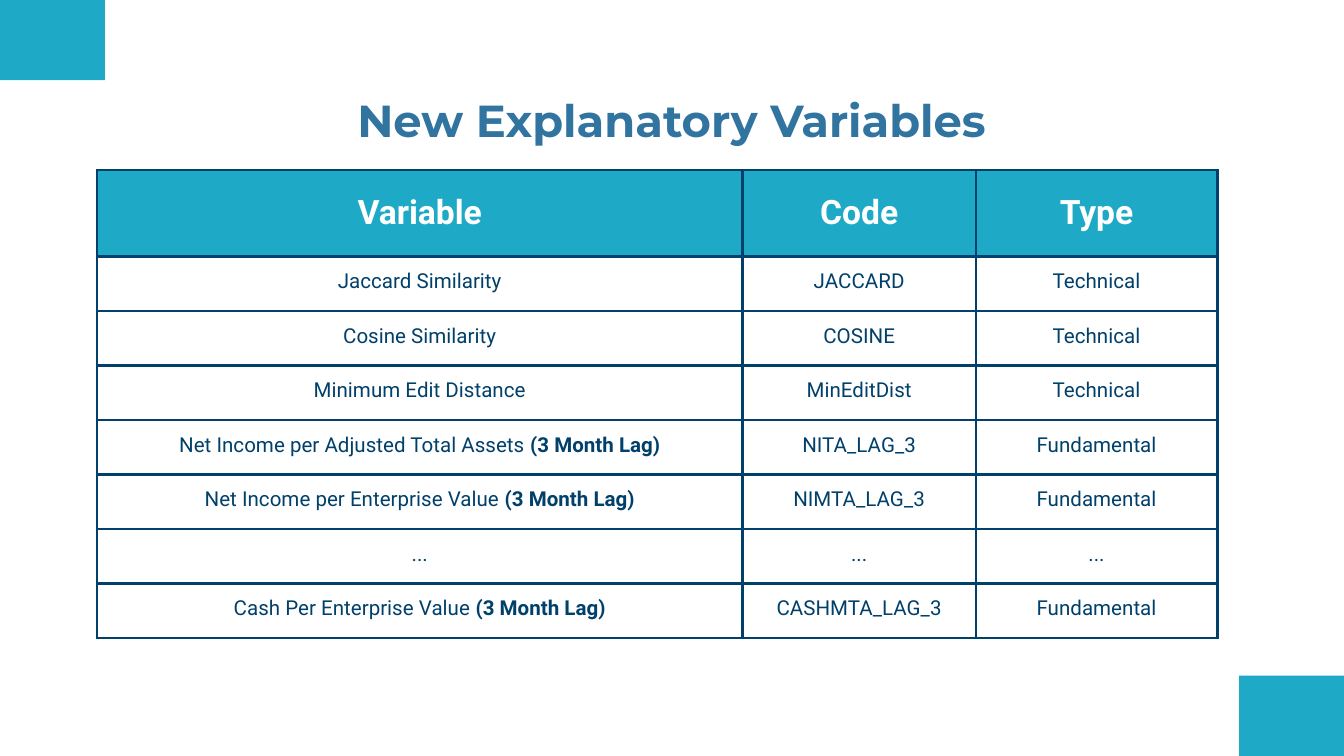
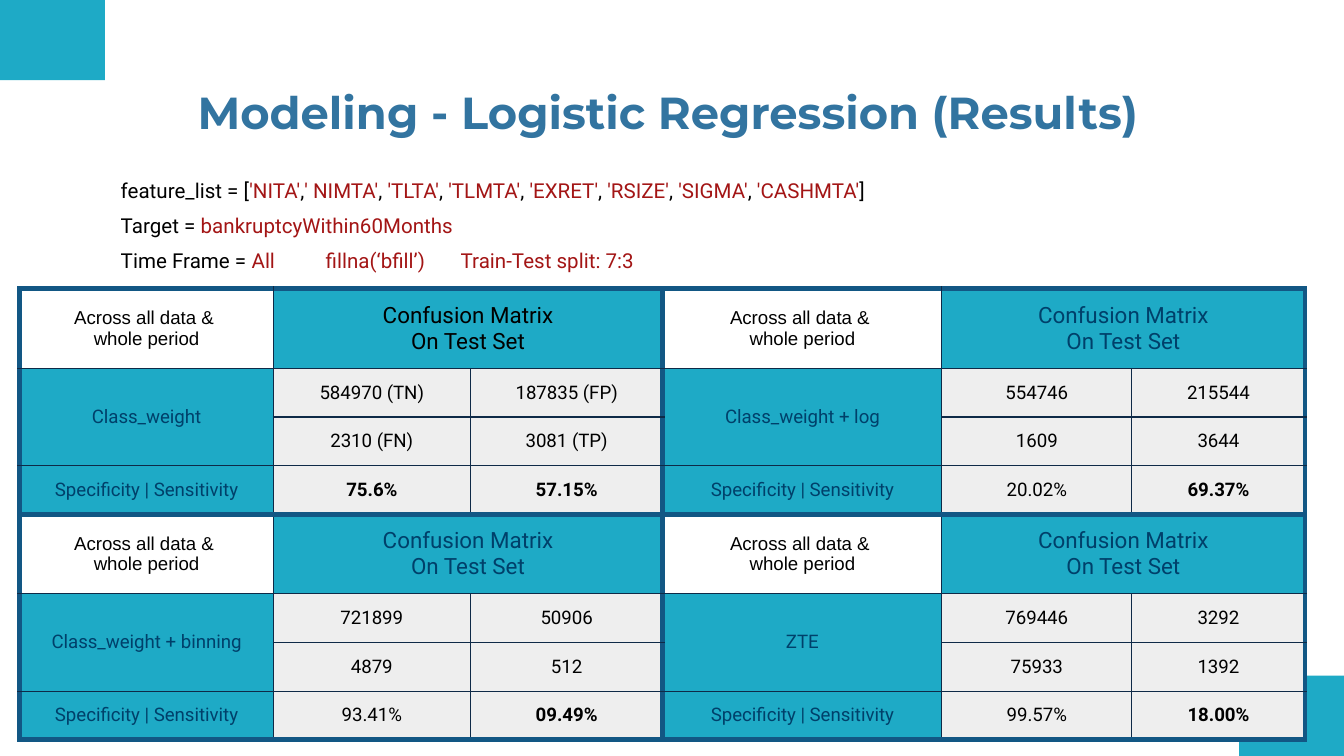
from dataclasses import dataclass, replace

from lxml.etree import SubElement
from pptx import Presentation
from pptx.dml.color import RGBColor
from pptx.enum.shapes import MSO_SHAPE
from pptx.enum.text import MSO_ANCHOR, MSO_AUTO_SIZE, PP_ALIGN
from pptx.oxml.ns import qn
from pptx.util import Pt


@dataclass(frozen=True)
class Style:
    font: str
    size: float
    color: str
    bold: bool = False


@dataclass(frozen=True)
class Theme:
    teal: str = "1EAAC6"
    grey: str = "EEEEEE"
    navy: str = "00406A"
    thin_line: tuple = ("0E2A47", 0.75)
    heavy_line: tuple = ("125784", 3)
    grid_line: tuple = (navy, 1.5)
    code_accent: str = "A31515"
    inset: float = 7.2
    title: Style = Style("Montserrat", 24, "3274A0", True)
    head: Style = Style("Roboto", 18, "FFFFFF", True)
    body: Style = Style("Roboto", 11, navy)
    code: Style = Style("Roboto", 11, "000000")
    matrix_head: Style = Style("Roboto", 12, navy)
    label: Style = Style("Roboto", 10, navy)
    value: Style = Style("Roboto", 10, "000000")
    scope: Style = Style("Arial", 10, "000000")


THEME = Theme()
PAGE_WIDTH, PAGE_HEIGHT = 720, 405
CORNER_WIDTH, CORNER_HEIGHT = 56.2, 43


def rgb(color):
    return RGBColor.from_string(color)


def apply_font(font, style):
    font.name, font.size, font.bold = style.font, Pt(style.size), style.bold
    font.color.rgb = rgb(style.color)


class Page:
    """Holds the theme and the current slide."""

    def __init__(self, deck, theme=THEME):
        self.theme = theme
        self.slide = deck.slides.add_slide(deck.slide_layouts[5])
        self.corner(0, 0)
        self.corner(PAGE_WIDTH - CORNER_WIDTH, PAGE_HEIGHT - CORNER_HEIGHT)

    def corner(self, left, top):
        box = self.slide.shapes.add_shape(
            MSO_SHAPE.RECTANGLE, Pt(left), Pt(top), Pt(CORNER_WIDTH), Pt(CORNER_HEIGHT))
        box.shadow.inherit = False
        box.fill.solid()
        box.fill.fore_color.rgb = rgb(self.theme.teal)
        box.line.fill.background()

    def set_insets(self, holder):
        holder.margin_left = holder.margin_right = Pt(self.theme.inset)
        holder.margin_top = holder.margin_bottom = Pt(self.theme.inset)

    def fill_text(self, frame, lines, style, emphasis=None, align=PP_ALIGN.CENTER):
        """Each line is a string, or a tuple of spans: plain, emphasised, plain ..."""
        for index, line in enumerate(lines):
            para = frame.add_paragraph() if index else frame.paragraphs[0]
            para.alignment = align
            if isinstance(line, str):
                para.add_run().text = line
                apply_font(para.font, style)
                continue
            for place, text in enumerate(line):
                span = para.add_run()
                span.text = text
                apply_font(span.font, emphasis if place % 2 else style)

    def title(self, text, left, top, width, height=37.4):
        box = self.slide.shapes.title
        box.left, box.top, box.width, box.height = Pt(left), Pt(top), Pt(width), Pt(height)
        frame = box.text_frame
        frame.auto_size = MSO_AUTO_SIZE.NONE
        frame.vertical_anchor = MSO_ANCHOR.TOP
        self.set_insets(frame)
        self.fill_text(frame, [text], self.theme.title)

    def code_box(self, lines, left, top, width, height, tab_stops):
        box = self.slide.shapes.add_textbox(Pt(left), Pt(top), Pt(width), Pt(height))
        frame = box.text_frame
        frame.word_wrap = True
        frame.auto_size = MSO_AUTO_SIZE.SHAPE_TO_FIT_TEXT
        self.set_insets(frame)
        plain = self.theme.code
        accent = replace(plain, color=self.theme.code_accent)
        self.fill_text(frame, lines, plain, accent, PP_ALIGN.LEFT)
        for para in frame.paragraphs:
            para.line_spacing = 1.42
        tabs = SubElement(frame.paragraphs[-1]._p.get_or_add_pPr(), qn("a:tabLst"))
        for stop in tab_stops:
            SubElement(tabs, qn("a:tab"), pos=str(Pt(stop)), algn="l")

    def table(self, left, top, widths, heights):
        frame = self.slide.shapes.add_table(
            len(heights), len(widths), Pt(left), Pt(top), Pt(sum(widths)), Pt(sum(heights)))
        table = frame.table
        table.first_row = table.horz_banding = False
        for column, width in zip(table.columns, widths):
            column.width = Pt(width)
        for row, height in zip(table.rows, heights):
            row.height = Pt(height)
        return table

    def cell(self, cell, lines, style, fill=None, middle=False):
        self.set_insets(cell)
        cell.vertical_anchor = MSO_ANCHOR.MIDDLE if middle else MSO_ANCHOR.TOP
        if fill:
            cell.fill.solid()
            cell.fill.fore_color.rgb = rgb(fill)
        else:
            cell.fill.background()
        self.fill_text(cell.text_frame, lines, style, replace(style, bold=True))

    def borders(self, cell, left, right, top, bottom):
        props = cell._tc.get_or_add_tcPr()
        sides = zip(("lnL", "lnR", "lnT", "lnB"), (left, right, top, bottom))
        for index, (tag, (color, weight)) in enumerate(sides):
            line = props.makeelement(qn(f"a:{tag}"), {"w": str(Pt(weight))})
            props.insert(index, line)
            SubElement(SubElement(line, qn("a:solidFill")), qn("a:srgbClr"), val=color)


# Slide 1: variables table
LAG = "(3 Month Lag)"
VARIABLES = [
    ("Jaccard Similarity", "JACCARD", "Technical"),
    ("Cosine Similarity", "COSINE", "Technical"),
    ("Minimum Edit Distance", "MinEditDist", "Technical"),
    (("Net Income per Adjusted Total Assets ", LAG), "NITA_LAG_3", "Fundamental"),
    (("Net Income per Enterprise Value ", LAG), "NIMTA_LAG_3", "Fundamental"),
    ("...", "...", "..."),
    (("Cash Per Enterprise Value ", LAG), "CASHMTA_LAG_3", "Fundamental"),
]


def variables_slide(deck):
    page = Page(deck)
    page.title("New Explanatory Variables", 57, 42.5, 605.5)
    rows = [("Variable", "Code", "Type")] + VARIABLES
    table = page.table(52, 91.2, (345.8, 125, 129.4), [46.2] + [29.2] * len(VARIABLES))
    for r, texts in enumerate(rows):
        for c, text in enumerate(texts):
            cell = table.cell(r, c)
            if r == 0:
                page.cell(cell, [text], THEME.head, THEME.teal, middle=True)
            else:
                page.cell(cell, [text], THEME.body)
            page.borders(cell, *[THEME.grid_line] * 4)


# Slide 2: confusion matrices, one block of four rows by three columns each
FEATURE_LINES = [
    ("feature_list = [", "'NITA'", ",", "' NIMTA'", ", ", "'TLTA'", ", ", "'TLMTA'", ", ",
     "'EXRET'", ", ", "'RSIZE'", ", ", "'SIGMA'", ", ", "'CASHMTA'", "]"),
    ("Target = ", "bankruptcyWithin60Months"),
    ("Time Frame = ", "All\tfillna(‘bfill’)\tTrain-Test split: 7:3"),
]
MODELS = [
    ("Class_weight", [("584970 (TN)", "187835 (FP)"), ("2310 (FN)", "3081 (TP)"),
                      ("75.6%", "57.15%")]),
    ("Class_weight + log", [("554746", "215544"), ("1609", "3644"), ("20.02%", "69.37%")]),
    ("Class_weight + binning", [("721899", "50906"), ("4879", "512"), ("93.41%", "09.49%")]),
    ("ZTE", [("769446", "3292"), ("75933", "1392"), ("99.57%", "18.00%")]),
]
BOLD_SCORES = {"75.6%", "57.15%", "69.37%", "09.49%", "18.00%"}
BLOCK_ROWS, BLOCK_COLUMNS = 4, 3


def matrix_block(page, table, top, left, model, values, head_style):
    scope, head = table.cell(top, left), table.cell(top, left + 1)
    name, score = table.cell(top + 1, left), table.cell(top + 3, left)
    head.merge(table.cell(top, left + 2))
    name.merge(table.cell(top + 2, left))
    page.cell(scope, ["Across all data & ", "whole period"], THEME.scope, middle=True)
    page.cell(head, ["Confusion Matrix", "On Test Set"], head_style, THEME.teal)
    page.cell(name, [model], THEME.label, THEME.teal, middle=True)
    page.cell(score, ["Specificity | Sensitivity"], THEME.label, THEME.teal)
    for r, pair in enumerate(values, top + 1):
        for c, text in enumerate(pair, left + 1):
            style = replace(THEME.value, bold=text in BOLD_SCORES)
            page.cell(table.cell(r, c), [text], style, THEME.grey)


def block_borders(page, table):
    """Heavy lines round each block, thin lines inside."""
    def edge(outer):
        return THEME.heavy_line if outer else THEME.thin_line

    for r in range(len(table.rows)):
        for c in range(len(table.columns)):
            cell = table.cell(r, c)
            wide, tall = (cell.span_width, cell.span_height) if cell.is_merge_origin else (1, 1)
            page.borders(cell, edge(c % BLOCK_COLUMNS == 0),
                         edge((c + wide) % BLOCK_COLUMNS == 0),
                         edge(r % BLOCK_ROWS == 0),
                         edge((r + tall) % BLOCK_ROWS == 0))


def results_slide(deck):
    page = Page(deck)
    page.title("Modeling - Logistic Regression (Results)", 20.9, 38.4, 673.8)
    table = page.table(10.6, 154.8, (135.8, 105.6, 103.2, 149.4, 101.8, 92.8),
                       [41.8, 26.1, 26.1, 26.1] * 2)
    for index, (model, values) in enumerate(MODELS):
        block_row, block_column = divmod(index, 2)
        style = THEME.matrix_head if index else replace(THEME.matrix_head, color="000000")
        matrix_block(page, table, block_row * BLOCK_ROWS, block_column * BLOCK_COLUMNS,
                     model, values, style)
    block_borders(page, table)
    page.code_box(FEATURE_LINES, 57.6, 82.8, 548.6, 65.5, tab_stops=(109.8, 182.1))


def main():
    deck = Presentation()
    deck.slide_width, deck.slide_height = Pt(PAGE_WIDTH), Pt(PAGE_HEIGHT)
    variables_slide(deck)
    results_slide(deck)
    deck.save("out.pptx")


if __name__ == "__main__":
    main()
